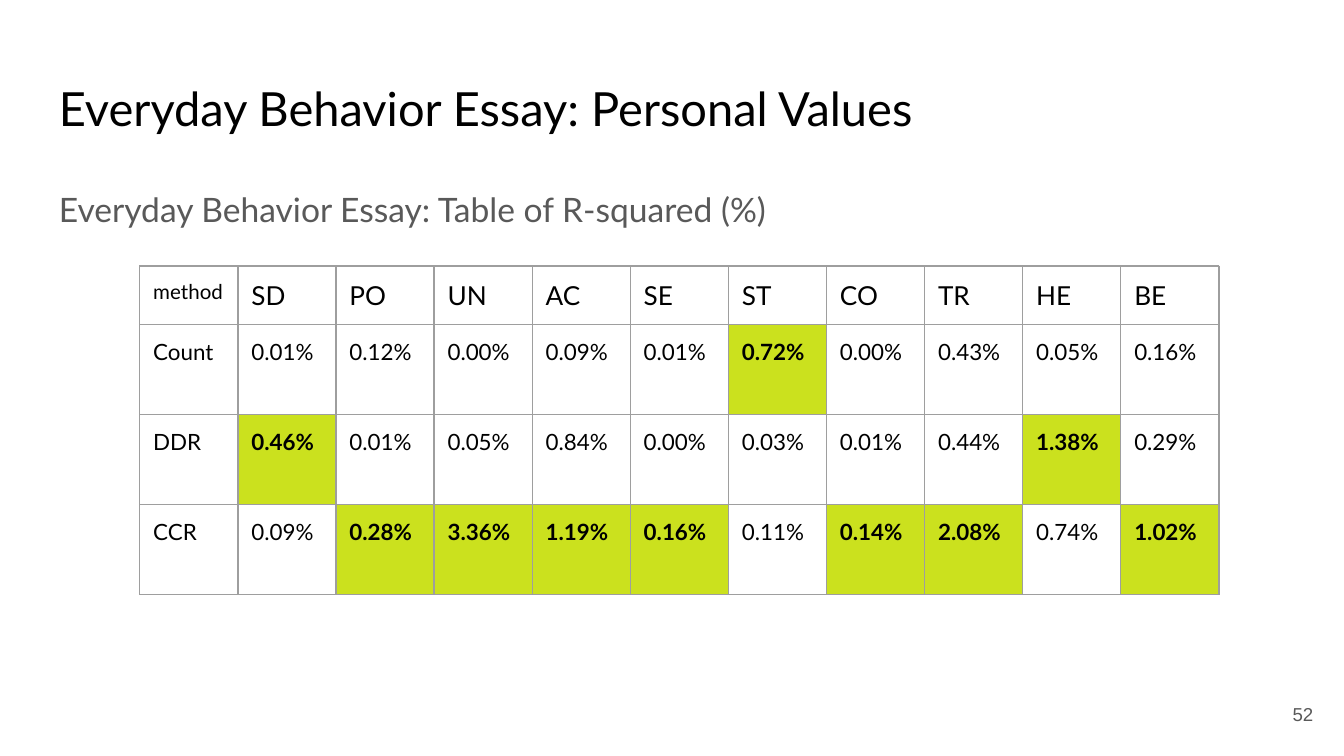
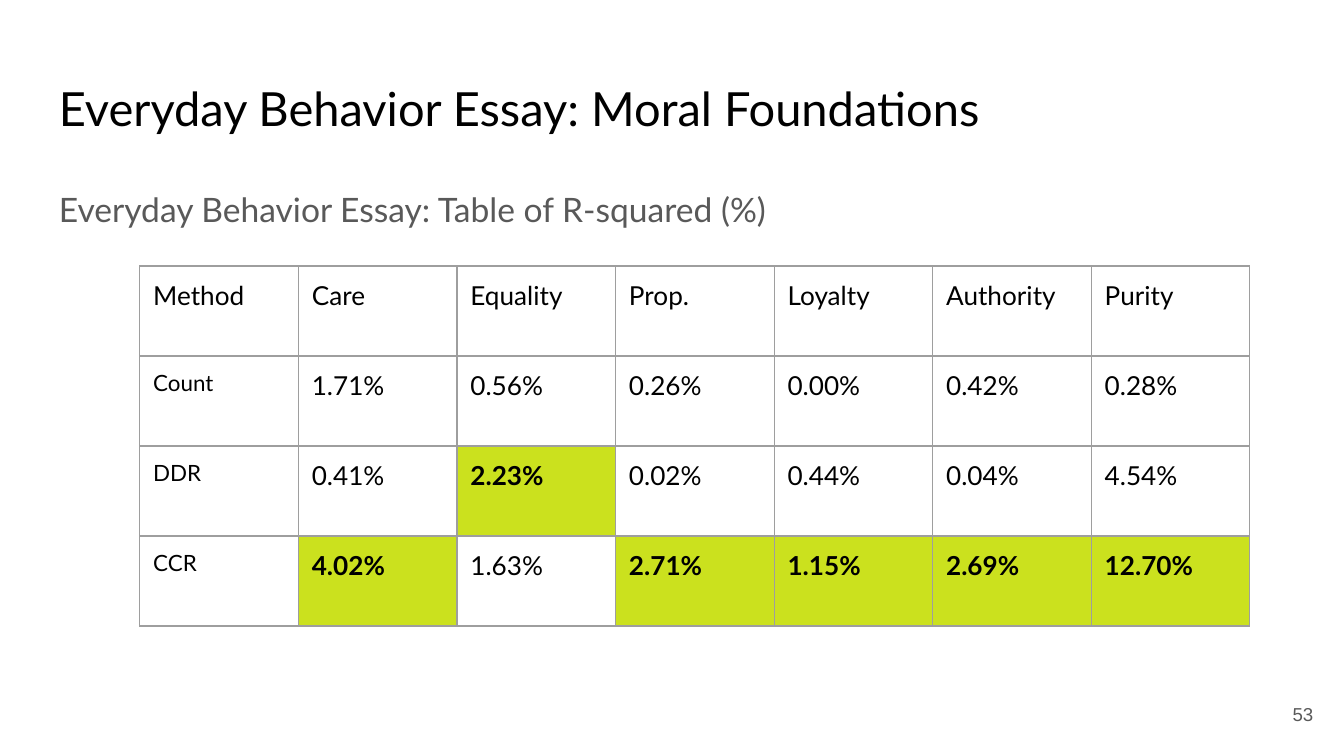
"""Build two slides of R-squared tables for the everyday behavior essay."""
from lxml.etree import SubElement
from pptx import Presentation
from pptx.dml.color import RGBColor
from pptx.enum.text import MSO_ANCHOR, PP_ALIGN
from pptx.oxml.ns import qn
from pptx.util import Inches, Pt

BLACK, GRAY, BORDER, HIGHLIGHT = "000000", "595959", "9E9E9E", "CBE11E"
TITLE = {"size": Pt(25.2), "name": "Lato"}
SUBTITLE = {"size": Pt(18), "name": "Lato"}
PAGE_NUMBER = {"size": Pt(10), "name": "Arial"}
MARGINS = {f"margin_{side}": Inches(0.1) for side in ("left", "top", "right", "bottom")}


def color(hex_value):
    return RGBColor.from_string(hex_value)


def write(holder, paragraph, text, font_format, hex_value):
    for name, value in MARGINS.items():
        setattr(holder, name, value)
    span = paragraph.add_run()
    span.text = text
    for name, value in font_format.items():
        setattr(span.font, name, value)
    span.font.color.rgb = color(hex_value)


pages = [
    {
        "title": "Everyday Behavior Essay: Personal Values",
        "number": "52",
        "column_width": 0.73,
        "header_height": 0.43,
        "sizes": {"corner": 11, "header": 14, "method": 12, "value": 12},
        "header": ["method", "SD", "PO", "UN", "AC", "SE", "ST", "CO", "TR", "HE", "BE"],
        "results": {
            "Count": [0.01, 0.12, 0.00, 0.09, 0.01, 0.72, 0.00, 0.43, 0.05, 0.16],
            "DDR": [0.46, 0.01, 0.05, 0.84, 0.00, 0.03, 0.01, 0.44, 1.38, 0.29],
            "CCR": [0.09, 0.28, 3.36, 1.19, 0.16, 0.11, 0.14, 2.08, 0.74, 1.02],
        },
    },
    {
        "title": "Everyday Behavior Essay: Moral Foundations",
        "number": "53",
        "column_width": 1.18,
        "header_height": 0.67,
        "sizes": {"corner": 14, "header": 14, "method": 12, "value": 14},
        "header": ["Method", "Care", "Equality", "Prop.", "Loyalty", "Authority", "Purity"],
        "results": {
            "Count": [1.71, 0.56, 0.26, 0.00, 0.42, 0.28],
            "DDR": [0.41, 2.23, 0.02, 0.44, 0.04, 4.54],
            "CCR": [4.02, 1.63, 2.71, 1.15, 2.69, 12.70],
        },
    },
]

deck = Presentation()
deck.slide_width = Inches(10)
deck.slide_height = deck.slide_width * 9 // 16

for content in pages:
    page = deck.slides.add_slide(deck.slide_layouts[6])
    page.background.fill.solid()
    page.background.fill.fore_color.rgb = color("FFFFFF")

    labels = [
        ((0.34, 0.49, 9.32, 0.63), content["title"], TITLE, BLACK,
         MSO_ANCHOR.TOP, {"alignment": PP_ALIGN.LEFT}),
        ((0.34, 1.26, 9.32, 3.74), "Everyday Behavior Essay: Table of R-squared (%)", SUBTITLE, GRAY,
         MSO_ANCHOR.TOP, {"alignment": PP_ALIGN.LEFT, "line_spacing": 1.15}),
        ((9.27, 5.1, 0.6, 0.43), content["number"], PAGE_NUMBER, GRAY,
         MSO_ANCHOR.MIDDLE, {"alignment": PP_ALIGN.RIGHT}),
    ]
    for place, text, font_format, hex_value, anchor, para_format in labels:
        box = page.shapes.add_textbox(*map(Inches, place))
        frame = box.text_frame
        frame.word_wrap = True
        frame.vertical_anchor = anchor
        para = frame.paragraphs[0]
        for name, value in para_format.items():
            setattr(para, name, value)
        write(frame, para, text, font_format, hex_value)

    header, results, sizes = content["header"], content["results"], content["sizes"]
    best = [max(values) for values in zip(*results.values())]
    heights = [content["header_height"]] + [0.67] * len(results)
    width = content["column_width"] * len(header)
    table = page.shapes.add_table(
        len(heights), len(header), Inches(1.04), Inches(1.98), Inches(width), Inches(sum(heights))
    ).table
    table.first_row = table.horz_banding = False
    for column in table.columns:
        column.width = Inches(content["column_width"])
    for row, height in zip(table.rows, heights):
        row.height = Inches(height)

    rows = [header] + [[method, *values] for method, values in results.items()]
    for row_index, entries in enumerate(rows):
        for column_index, entry in enumerate(entries):
            cell = table.cell(row_index, column_index)
            properties = cell._tc.get_or_add_tcPr()
            for side in ("a:lnL", "a:lnR", "a:lnT", "a:lnB"):
                line = SubElement(properties, qn(side), w=str(Pt(0.75)))
                fill = SubElement(line, qn("a:solidFill"))
                SubElement(fill, qn("a:srgbClr"), val=BORDER)

            if row_index == 0:
                role = "header" if column_index else "corner"
            else:
                role = "value" if column_index else "method"
            is_best = role == "value" and entry == best[column_index - 1]
            if is_best:
                cell.fill.solid()
                cell.fill.fore_color.rgb = color(HIGHLIGHT)
            else:
                cell.fill.background()
            text = f"{entry:.2f}%" if role == "value" else entry
            font_format = {"size": Pt(sizes[role]), "name": "Lato", "bold": is_best}
            write(cell, cell.text_frame.paragraphs[0], text, font_format, BLACK)

deck.save("out.pptx")
